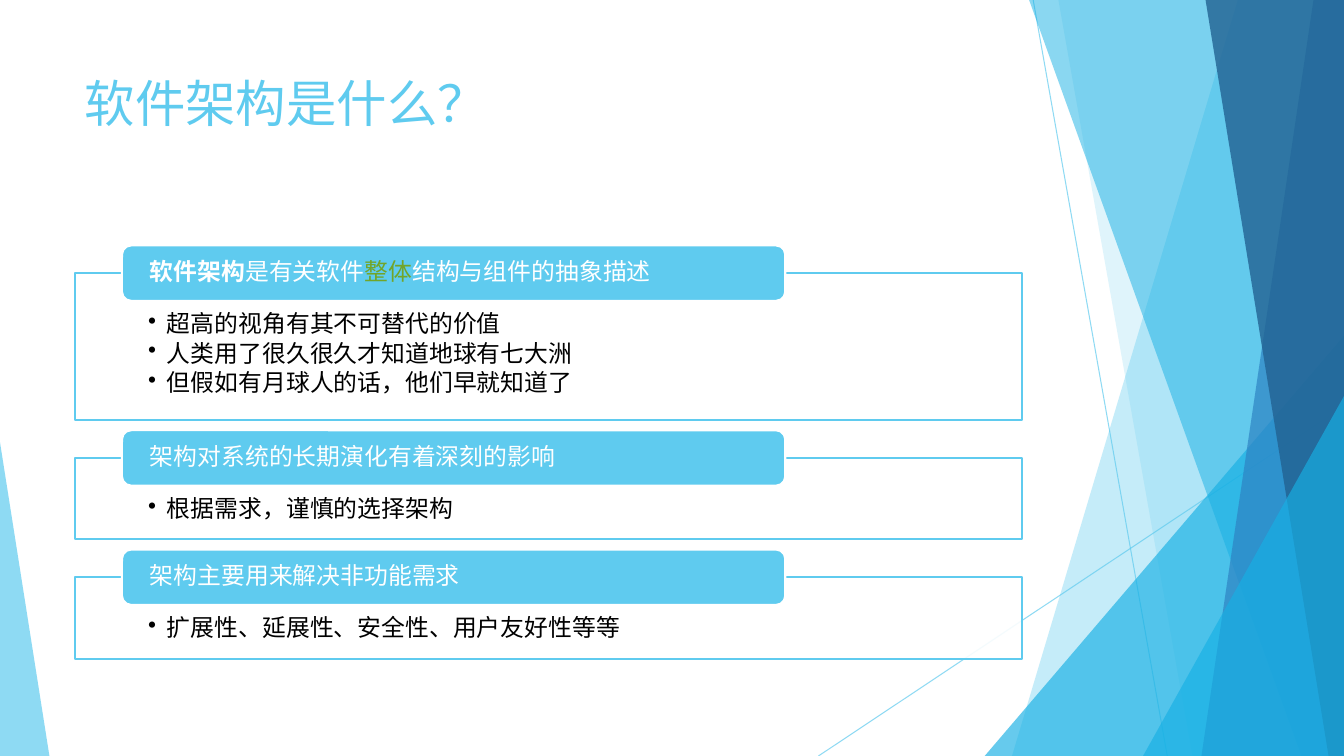
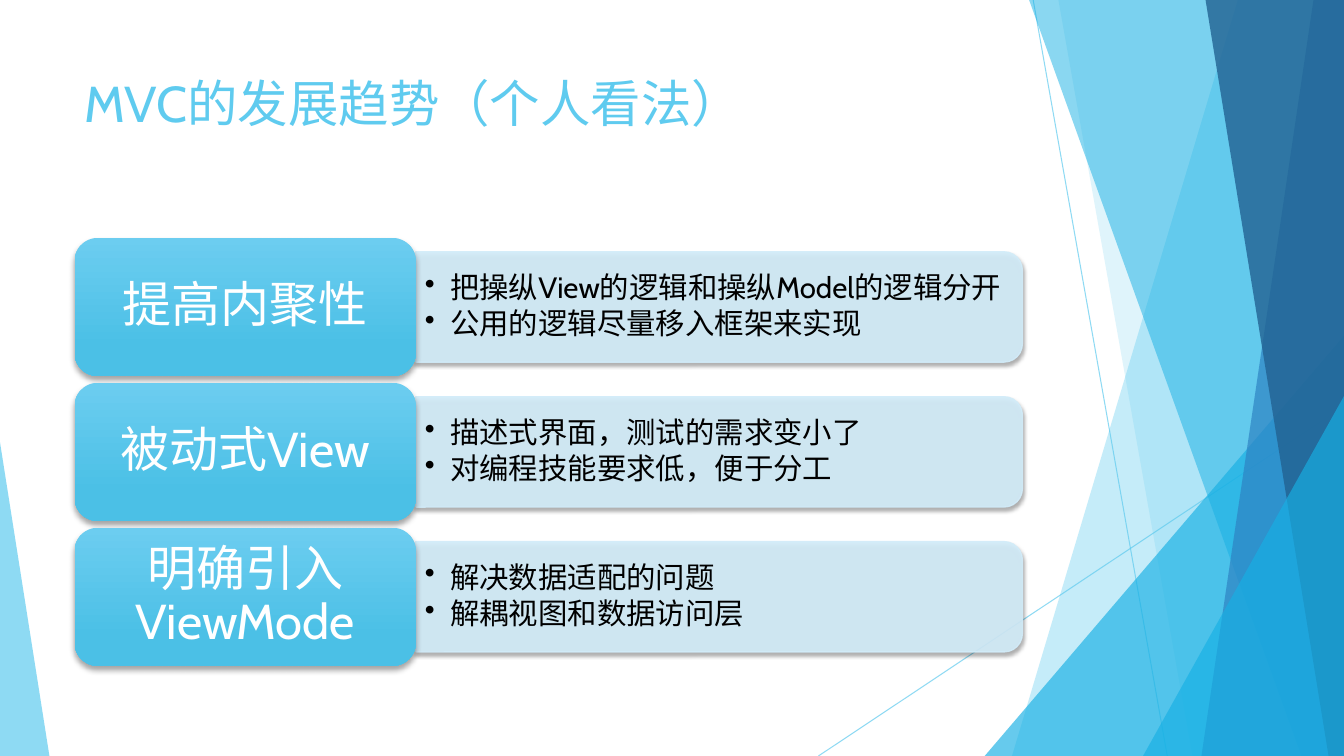
from lxml.etree import SubElement
from pptx import Presentation
from pptx.dml.color import RGBColor
from pptx.enum.shapes import MSO_CONNECTOR, MSO_SHAPE
from pptx.enum.text import MSO_ANCHOR, MSO_AUTO_SIZE, PP_ALIGN
from pptx.oxml import parse_xml
from pptx.oxml.ns import nsdecls, qn
from pptx.util import Pt

SKY = RGBColor(0x5F, 0xCB, 0xEF)
CYAN = RGBColor(0x17, 0xB0, 0xE4)
BLUE = RGBColor(0x2E, 0x83, 0xC3)
NAVY = RGBColor(0x22, 0x62, 0x92)
PALE = RGBColor(0xD2, 0xEC, 0xF9)
GRADIENT_TOP = RGBColor(0x6C, 0xCD, 0xF0)
GRADIENT_BOTTOM = RGBColor(0x4B, 0xC0, 0xE6)
GREEN = RGBColor(0x72, 0xA5, 0x28)
WHITE = RGBColor(0xFF, 0xFF, 0xFF)
BLACK = RGBColor(0x00, 0x00, 0x00)
FONT = "Cabin"
WIDTH, HEIGHT = 960, 540
CONTENT_LEFT, CONTENT_WIDTH = 53.3, 677


def set_opacity(shape, percent):
    for color in shape.element.spPr.iter(qn("a:srgbClr")):
        SubElement(color, qn("a:alpha")).set("val", str(percent * 1000))


def write_text(shape, paragraphs, size, color, insets, anchor=MSO_ANCHOR.MIDDLE,
               alignment=PP_ALIGN.LEFT, bullet_indent=0):
    frame = shape.text_frame
    frame.word_wrap = True
    frame.vertical_anchor = anchor
    frame.margin_left, frame.margin_top, frame.margin_right, frame.margin_bottom = map(Pt, insets)
    for index, pieces in enumerate(paragraphs):
        paragraph = frame.add_paragraph() if index else frame.paragraphs[0]
        paragraph.alignment = alignment
        paragraph.line_spacing = 0.9
        paragraph.space_after = Pt(size * 0.15)
        for piece in pieces:
            run = paragraph.add_run()
            run.text = piece
            run.font.name = FONT
            run.font.size = Pt(size)
            run.font.color.rgb = color
        if bullet_indent:
            properties = paragraph._p.get_or_add_pPr()
            properties.set("marL", str(Pt(bullet_indent)))
            properties.set("indent", str(-Pt(bullet_indent)))
            SubElement(properties, qn("a:buChar")).set("char", "•")


presentation = Presentation()
presentation.slide_width, presentation.slide_height = Pt(WIDTH), Pt(HEIGHT)
layout = presentation.slide_layouts[5]

layout_title = layout.placeholders[0]
layout_title.left, layout_title.top = Pt(CONTENT_LEFT), Pt(48)
layout_title.width, layout_title.height = Pt(CONTENT_WIDTH), Pt(104)
layout_title.text_frame.vertical_anchor = MSO_ANCHOR.TOP
layout_title.text_frame.auto_size = MSO_AUTO_SIZE.NONE
layout_title.element.txBody.find(qn("a:lstStyle")).append(parse_xml(
    f'<a:lvl1pPr {nsdecls("a")} algn="l"><a:defRPr sz="3600">'
    f'<a:solidFill><a:srgbClr val="{SKY}"/></a:solidFill>'
    f'<a:latin typeface="{FONT}"/></a:defRPr></a:lvl1pPr>'))

architecture_slide = presentation.slides.add_slide(layout)
architecture_slide.shapes.title.text_frame.text = "软件架构是什么？"
trend_slide = presentation.slides.add_slide(layout)
trend_slide.shapes.title.text_frame.text = "MVC的发展趋势（个人看法）"

shapes = architecture_slide.shapes
decorations = []
for start_x, start_y, end_x, end_y in ((738, 0, 833.8, HEIGHT), (WIDTH, 290.2, 584.6, HEIGHT)):
    line = shapes.add_connector(MSO_CONNECTOR.STRAIGHT, Pt(start_x), Pt(start_y), Pt(end_x), Pt(end_y))
    line.line.color.rgb = SKY
    line.line.width = Pt(0.75)
    set_opacity(line, 70)
    SubElement(line.element.spPr, qn("a:effectLst"))
    decorations.append(line)

FACETS = (
    ("band", (884.2, 722.9), SKY, 36),
    ("band", (756, 851.8), SKY, 20),
    ("triangle", (703.4, 239.8, 256.6, 1), CYAN, 66),
    ("band", (735.1, 929.5), CYAN, 50),
    ("band", (938.2, 858.2), BLUE, 70),
    ("band", (861.1, 949), NAVY, 80),
    ("triangle", (816.5, 283, 143.5, 1), CYAN, 66),
    ("triangle", (0, 316, 35.3, 0), SKY, 70),
)
for kind, geometry, color, opacity in FACETS:
    if kind == "band":
        top_x, bottom_x = geometry
        builder = shapes.build_freeform(Pt(top_x), 0)
        builder.add_line_segments([(Pt(WIDTH), 0), (Pt(WIDTH), Pt(HEIGHT)), (Pt(bottom_x), Pt(HEIGHT))])
        facet = builder.convert_to_shape()
    else:
        left, top, width, apex = geometry
        facet = shapes.add_shape(MSO_SHAPE.ISOSCELES_TRIANGLE, Pt(left), Pt(top), Pt(width), Pt(HEIGHT - top))
        facet.adjustments[0] = apex
    facet.fill.solid()
    facet.fill.fore_color.rgb = color
    facet.line.fill.background()
    facet.shadow.inherit = False
    set_opacity(facet, opacity)
    decorations.append(facet)

for position, decoration in enumerate(decorations, start=2):
    layout.shapes.element.insert(position, decoration.element)

SECTIONS = (
    (("软件架构", "是有关软件", "整体", "结构与组件的抽象描述"),
     ("超高的视角有其不可替代的价值", "人类用了很久很久才知道地球有七大洲", "但假如有月球人的话，他们早就知道了")),
    (("架构对系统的长期演化有着深刻的影响",), ("根据需求，谨慎的选择架构",)),
    (("架构主要用来解决非功能需求",), ("扩展性、延展性、安全性、用户友好性等等",)),
)
labels = []
card_top = 195.1
for heading, points in SECTIONS:
    card_height = 34.8 + 23.4 * len(points)
    card = shapes.add_shape(MSO_SHAPE.RECTANGLE, Pt(CONTENT_LEFT), Pt(card_top), Pt(CONTENT_WIDTH), Pt(card_height))
    card.fill.solid()
    card.fill.fore_color.rgb = WHITE
    set_opacity(card, 90)
    card.line.color.rgb = SKY
    label = shapes.add_shape(MSO_SHAPE.ROUNDED_RECTANGLE, Pt(87.1), Pt(card_top - 19.8), Pt(473.8), Pt(39.6))
    label.fill.solid()
    label.fill.fore_color.rgb = SKY
    label.line.color.rgb = WHITE
    for shape in (card, label):
        shape.line.width = Pt(1.5)
        shape.shadow.inherit = False
    write_text(card, [(point,) for point in points], 17, BLACK, (52.5, 28, 52.5, 9),
               anchor=MSO_ANCHOR.TOP, bullet_indent=13.5)
    write_text(label, [heading], 17, WHITE, (18, 0, 18, 0))
    labels.append(label)
    card_top += card_height + 27

heading_runs = labels[0].text_frame.paragraphs[0].runs
heading_runs[0].font.bold = True
heading_runs[2].font.color.rgb = GREEN

TRENDS = (
    ("提高内聚性", ("把操纵View的逻辑和操纵Model的逻辑分开", "公用的逻辑尽量移入框架来实现")),
    ("被动式View", ("描述式界面，测试的需求变小了", "对编程技能要求低，便于分工")),
    ("明确引入ViewMode", ("解决数据适配的问题", "解耦视图和数据访问层")),
)
BUTTON_WIDTH, BUTTON_HEIGHT = 243.7, 98.6
PANEL_LEFT = CONTENT_LEFT + BUTTON_WIDTH
PANEL_WIDTH, PANEL_HEIGHT = CONTENT_WIDTH - BUTTON_WIDTH, 78.8
shapes = trend_slide.shapes
for row, (heading, points) in enumerate(TRENDS):
    button_top = 170 + 103.5 * row
    middle = button_top + BUTTON_HEIGHT / 2
    panel = shapes.add_shape(MSO_SHAPE.ROUND_2_SAME_RECTANGLE,
                             Pt(PANEL_LEFT + (PANEL_WIDTH - PANEL_HEIGHT) / 2), Pt(middle - PANEL_WIDTH / 2),
                             Pt(PANEL_HEIGHT), Pt(PANEL_WIDTH))
    panel.rotation = 90
    panel.fill.solid()
    panel.fill.fore_color.rgb = PALE
    panel.line.color.rgb = PALE
    panel.line.width = Pt(1)
    set_opacity(panel, 90)
    text_height = PANEL_HEIGHT - 7.6
    points_box = shapes.add_textbox(Pt(PANEL_LEFT), Pt(middle - text_height / 2), Pt(PANEL_WIDTH - 4), Pt(text_height))
    write_text(points_box, [(point,) for point in points], 21, BLACK, (6.5, 3, 6.5, 3), bullet_indent=18)
    button = shapes.add_shape(MSO_SHAPE.ROUNDED_RECTANGLE, Pt(CONTENT_LEFT), Pt(button_top),
                              Pt(BUTTON_WIDTH), Pt(BUTTON_HEIGHT))
    button.fill.gradient()
    button.fill.gradient_angle = 270
    for stop, color, position in zip(button.fill.gradient_stops, (GRADIENT_TOP, GRADIENT_BOTTOM), (0, 0.78)):
        stop.color.rgb = color
        stop.position = position
    button.line.fill.background()
    write_text(button, [(heading,)], 35, WHITE, (10.8, 5, 10.8, 5), alignment=PP_ALIGN.CENTER)
    for shape, blur, distance in ((panel, 3, 2), (button, 4, 3)):
        shape.shadow.inherit = False
        shape.element.spPr.find(qn("a:effectLst")).append(parse_xml(
            f'<a:outerShdw {nsdecls("a")} blurRad="{Pt(blur)}" dist="{Pt(distance)}" dir="5400000" '
            'rotWithShape="0"><a:srgbClr val="000000"><a:alpha val="35000"/></a:srgbClr></a:outerShdw>'))

presentation.save("out.pptx")
